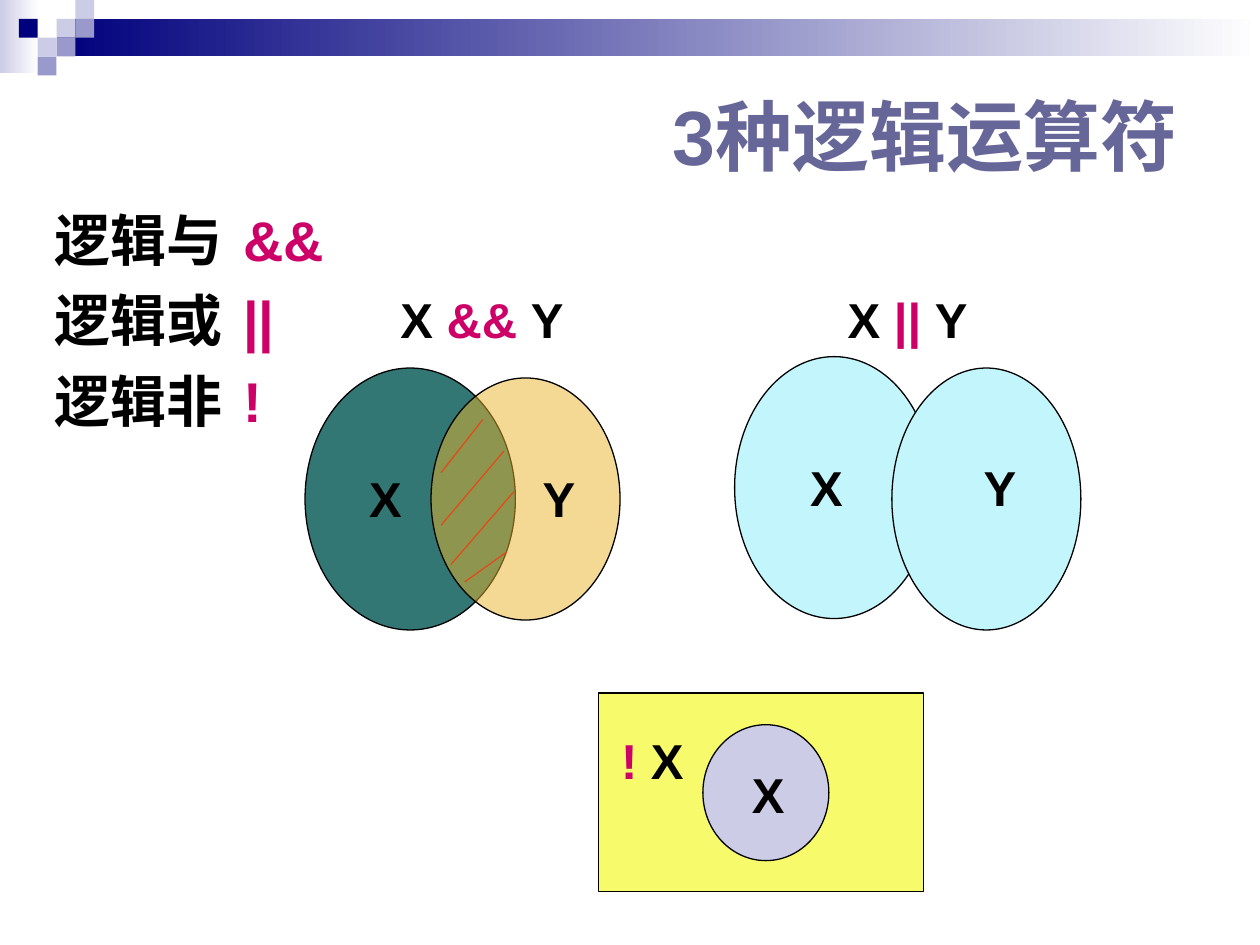
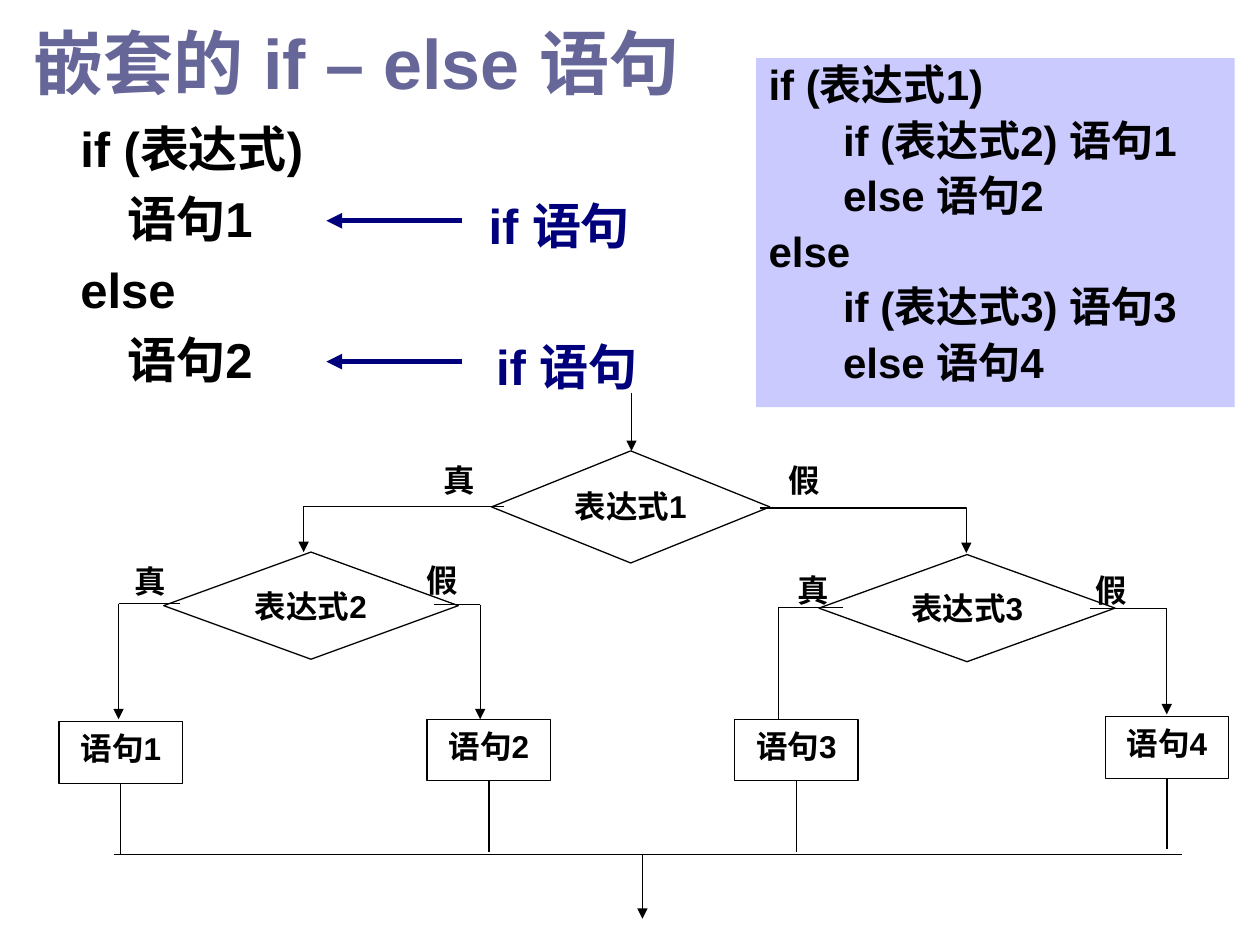
from lxml import etree
from pptx import Presentation
from pptx import util as u
from pptx.dml.color import RGBColor
from pptx.enum import shapes, text
from pptx.oxml import ns

Cm, Pt = u.Cm, u.Pt
MSO = shapes.MSO_SHAPE
LEFT, CENTER = text.PP_ALIGN.LEFT, text.PP_ALIGN.CENTER

COLORS = {
    "ink": "000000", "white": "FFFFFF", "title": "666699",
    "navy": "00007D", "pale": "CCCCE6", "lilac": "9999CC",
    "operator": "CC0066", "teal": "337774", "amber": "EAB42C",
    "sky": "C3F5FD", "yellow": "F7FA6A", "hatch": "DE4D1A",
    "panel": "CACAFF",
}
FONT = "Arial"
CJK_FONT = "Noto Sans CJK SC"


def rgb(name):
    return RGBColor.from_string(COLORS[name])


def add_xml(parent, tag, **attrs):
    return etree.SubElement(parent, ns.qn(tag), attrs)


class Deck:
    """Style of the lesson plus the slide being built."""

    def __init__(self):
        self.prs = Presentation()
        self.prs.slide_width, self.prs.slide_height = Cm(25.4), Cm(19.05)
        self.slide = None

    def new_slide(self):
        self.slide = self.prs.slides.add_slide(self.prs.slide_layouts[1])

    def fill_text(self, tf, paragraphs, size, align=LEFT, before=0.24, line=None,
                  indents=None, tab=None):
        """Fill a frame; a paragraph is a list of (text, colour[, cjk font])."""
        for i, runs in enumerate(paragraphs):
            p = tf.paragraphs[0] if i == 0 else tf.add_paragraph()
            p.alignment = align
            p.space_before = Pt(round(size * before, 1))
            if line:
                p.line_spacing = line
            for content, color, *cjk in runs:
                r = p.add_run()
                r.text = content
                r.font.size, r.font.bold, r.font.name = Pt(size), True, FONT
                r.font.color.rgb = rgb(color)
                add_xml(r._r.get_or_add_rPr(), "a:ea", typeface=cjk[0] if cjk else FONT)
            indent = indents[i] if indents else 0
            pPr = p._p.get_or_add_pPr()
            pPr.set("marL", str(Cm(indent)))
            pPr.set("indent", "0")
            add_xml(pPr, "a:buNone")
            if tab:
                add_xml(add_xml(pPr, "a:tabLst"), "a:tab", pos=str(Cm(tab)), algn="l")

    def place(self, s, x, y, w, h):
        s.left, s.top, s.width, s.height = Cm(x), Cm(y), Cm(w), Cm(h)
        s.text_frame.auto_size = text.MSO_AUTO_SIZE.NONE

    def title(self, box, runs, size):
        s = self.slide.shapes.title
        self.place(s, *box)
        s.text_frame.vertical_anchor = text.MSO_ANCHOR.MIDDLE
        self.fill_text(s.text_frame, [runs], size, before=0)

    def body(self, box, paragraphs, size, fill=None, **layout):
        s = self.slide.placeholders[1]
        self.place(s, *box)
        if fill:
            s.fill.solid()
            s.fill.fore_color.rgb = rgb(fill)
        s.text_frame.margin_right = 0
        self.fill_text(s.text_frame, paragraphs, size, **layout)
        for p, indent in zip(s.text_frame.paragraphs, layout.get("indents", [])):
            p.level = 1 if indent else 0

    def label(self, box, paragraphs, size=28, wrap=False, **layout):
        s = self.slide.shapes.add_textbox(*map(Cm, box))
        s.text_frame.word_wrap = wrap
        self.fill_text(s.text_frame, paragraphs, size, **layout)

    def shape(self, kind, box, fill, outline="ink", opacity=None):
        s = self.slide.shapes.add_shape(kind, *map(Cm, box))
        s.shadow.inherit = False
        s.fill.solid()
        s.fill.fore_color.rgb = rgb(fill)
        if opacity:
            clr = s._element.spPr.find(".//" + ns.qn("a:srgbClr"))
            add_xml(clr, "a:alpha", val=str(opacity * 1000))
        if outline:
            s.line.color.rgb, s.line.width = rgb(outline), Pt(0.75)
        else:
            s.line.fill.background()
        return s

    def fade(self, box, start):
        s = self.shape(MSO.RECTANGLE, box, start, None)
        s.fill.gradient()
        s.fill.gradient_angle = 0
        for stop, color in zip(s.fill.gradient_stops, (start, "white")):
            stop.color.rgb = rgb(color)

    def flow_node(self, kind, box, caption):
        s = self.shape(kind, box, "white")
        tf = s.text_frame
        tf.vertical_anchor, tf.word_wrap = text.MSO_ANCHOR.TOP, True
        self.fill_text(tf, [[(caption, "ink")]], 18, CENTER, before=0, line=1.04)

    def stroke(self, s, color, width, arrow):
        s.line.color.rgb, s.line.width = rgb(color), Pt(width)
        if arrow:
            add_xml(s._element.spPr.find(ns.qn("a:ln")), "a:tailEnd", type="triangle")

    def line(self, x1, y1, x2, y2, color="ink", width=0.75, arrow=False):
        s = self.slide.shapes.add_connector(
            shapes.MSO_CONNECTOR.STRAIGHT, *map(Cm, (x1, y1, x2, y2)))
        self.stroke(s, color, width, arrow)
        add_xml(s._element.spPr, "a:effectLst")

    def bent_arrow(self, start, *points):
        builder = self.slide.shapes.build_freeform(*map(Cm, start))
        builder.add_line_segments([(Cm(x), Cm(y)) for x, y in points], close=False)
        s = builder.convert_to_shape()
        s.shadow.inherit = False
        s.fill.background()
        self.stroke(s, "ink", 0.75, True)

    def header_band(self):
        self.fade((0, 0, 0.78, 1.48), "pale")
        self.fade((1.14, 0.38, 24.26, 0.76), "navy")
        cell = 0.38
        for col, row, color in ((3, 1, "pale"), (4, 0, "pale"), (4, 1, "lilac"),
                                (2, 2, "pale"), (1, 1, "navy"), (3, 2, "lilac"),
                                (2, 3, "lilac")):
            self.shape(MSO.RECTANGLE, (col * cell, row * cell, cell, cell), color, None)


def operators_slide(d):
    d.new_slide()
    d.header_band()
    d.title((13.31, 1.12, 12.01, 3.2), [("3种逻辑运算符", "title")], 44)
    names = (("逻辑与", "&&"), ("逻辑或", "||"), ("逻辑非", "!"))
    d.body((0.84, 4.01, 6.86, 4.9),
           [[(name + "\t", "ink"), (sign, "operator")] for name, sign in names],
           32, tab=4.18)

    d.shape(MSO.OVAL, (6.15, 7.42, 4.24, 5.28), "teal")
    d.shape(MSO.OVAL, (8.69, 7.62, 3.81, 4.88), "amber", opacity=50)
    d.shape(MSO.OVAL, (14.81, 7.19, 4.01, 5.28), "sky")
    d.shape(MSO.OVAL, (17.98, 7.42, 3.81, 5.28), "sky")
    d.shape(MSO.RECTANGLE, (12.07, 13.97, 6.55, 4.01), "yellow")
    d.shape(MSO.OVAL, (14.17, 14.61, 2.54, 2.74), "pale")

    for hatch in ((9.73, 8.46, 8.89, 9.53), (10.16, 9.09, 8.89, 10.59),
                  (10.36, 9.91, 9.09, 11.38), (10.21, 11.13, 9.37, 11.73)):
        d.line(*hatch, color="hatch")

    for name, x, y in (("X", 7.19, 9.32), ("Y", 10.69, 9.32), ("X", 16.08, 9.09),
                       ("Y", 19.58, 9.09), ("X", 14.91, 15.29)):
        d.label((x, y, 1.17, 1.45), [[(name, "ink")]])
    for sign, x, w in (("&& ", 7.82, 3.81), ("|| ", 16.84, 2.92)):
        d.label((x, 5.72, w, 1.45),
                [[("X ", "ink"), (sign, "operator"), ("Y", "ink")]])
    d.label((12.27, 14.61, 1.78, 1.45), [[("! ", "operator"), ("X", "ink")]])


def nested_if_slide(d):
    d.new_slide()
    d.title((0.43, 0.28, 15.29, 1.91),
            [("嵌套的 if – else ", "title"), ("语句", "title", CJK_FONT)], 40)
    code = ("if (表达式1)", "if (表达式2) 语句1", "else 语句2",
            "else", "if (表达式3) 语句3", "else 语句4")
    d.body((15.24, 1.17, 9.65, 7.04), [[(c, "ink")] for c in code], 24,
           fill="panel", line=0.9, indents=(0, 1.5, 1.5) * 2)

    # Flowchart: decisions, branches, statements, merge
    for n, box in enumerate(((9.91, 9.09, 5.61, 2.26), (3.3, 11.13, 5.94, 2.16),
                             (16.51, 11.18, 5.97, 2.16)), 1):
        d.flow_node(MSO.FLOWCHART_DECISION, box, f"表达式{n}")
    d.line(12.73, 7.92, 12.73, 9.09, arrow=True)
    d.bent_arrow((15.32, 10.24), (19.48, 10.24), (19.48, 11.15))
    for x, y, end_x, end_y in ((10.16, 10.21, 6.12, 11.13), (3.63, 12.17, 2.39, 14.5),
                               (8.74, 12.19, 9.68, 14.5), (17, 12.24, 15.7, 14.96),
                               (21.97, 12.27, 23.52, 14.4)):
        d.line(x, y, end_x, y)
        d.line(end_x, y, end_x, end_y, arrow=True)

    w, h = 2.49, 1.24
    statements = ((1.19, 14.55), (8.61, 14.5), (14.81, 14.5), (22.28, 14.45))
    for n, (x, y) in enumerate(statements, 1):
        d.flow_node(MSO.FLOWCHART_PROCESS, (x, y, w, h), f"语句{n}")
        d.line(x + w / 2, y + h, x + w / 2, y + 2.67)
    d.line(2.29, 17.22, 23.83, 17.22)
    d.line(12.95, 17.22, 12.95, 18.52, arrow=True)

    for caption, x, y in (("真", 8.53, 9.14), ("假", 15.49, 9.14), ("真", 2.31, 11.18),
                          ("假", 8.2, 11.15), ("真", 15.67, 11.35), ("假", 21.67, 11.35)):
        d.label((x, y, 1.45, 1.17), [[(caption, "ink")]], 18, True,
                align=CENTER, before=0, line=1.04)

    # General form, with each branch marked as a possible if statement
    form = ("if (表达式)", "语句1", "else", "语句2")
    d.label((1.37, 2.26, 8.2, 6.32), [[(f, "ink")] for f in form], wrap=True,
            indents=(0, 0.95) * 2)
    for x, y, arrow_y in ((9.6, 3.81, 4.45), (9.75, 6.65, 7.29)):
        d.label((x, y, 4.2, 1.47), [[("if 语句", "navy")]], wrap=True)
        d.line(9.32, arrow_y, 6.58, arrow_y, color="navy", width=3, arrow=True)


def main():
    d = Deck()
    operators_slide(d)
    nested_if_slide(d)
    d.prs.save("out.pptx")


if __name__ == "__main__":
    main()
